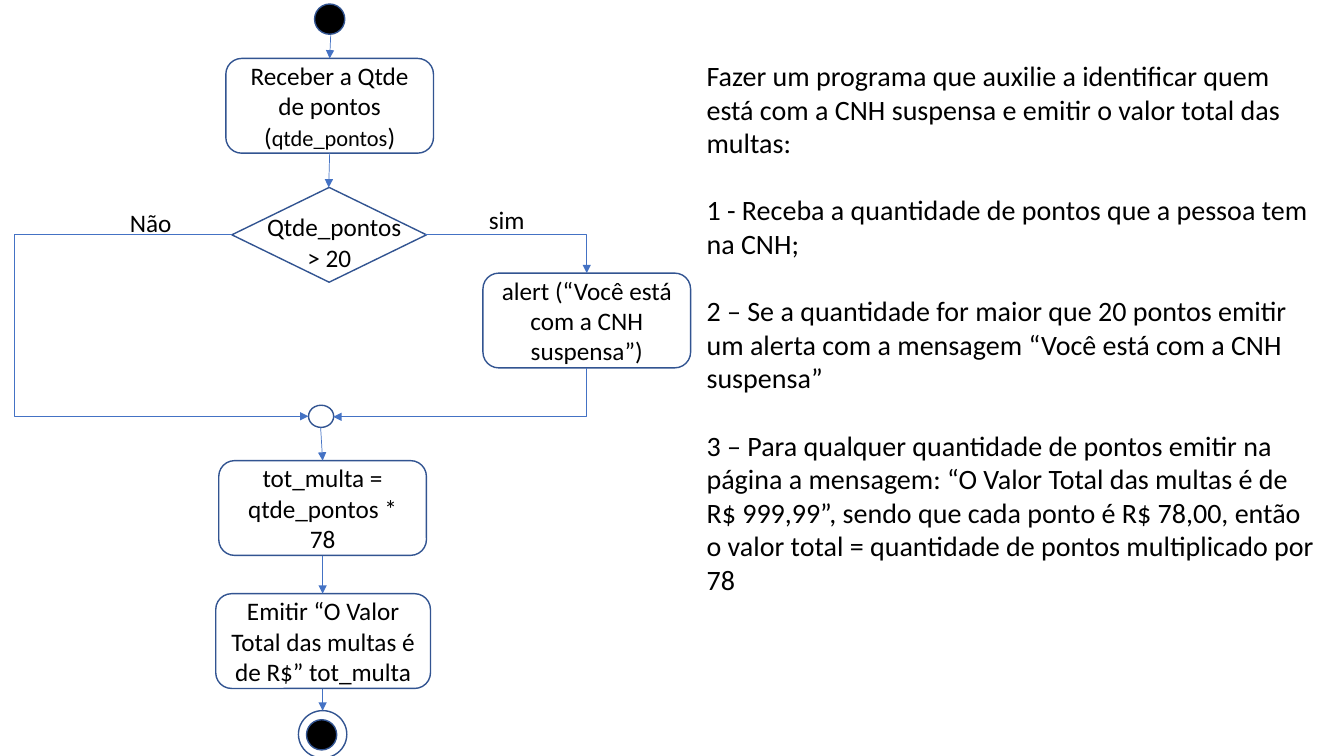
from lxml.etree import SubElement
from pptx import Presentation
from pptx.dml.color import RGBColor
from pptx.enum.shapes import MSO_CONNECTOR as Route, MSO_SHAPE as Preset
from pptx.enum.text import MSO_ANCHOR, MSO_AUTO_SIZE, PP_ALIGN
from pptx.oxml.ns import qn
from pptx.util import Inches, Pt

COLORS = {"outline": "325491", "arrow": "4472C4", "ink": "000000"}
STEP_FRAME = {"word_wrap": True, "vertical_anchor": MSO_ANCHOR.MIDDLE}
LABEL_FRAME = {"word_wrap": False, "auto_size": MSO_AUTO_SIZE.SHAPE_TO_FIT_TEXT}
BRIEF_FRAME = LABEL_FRAME | {"word_wrap": True}
CENTERED = {"alignment": PP_ALIGN.CENTER}
SPACED = {"space_after": Pt(24)}

BRIEF = [
    "Fazer um programa que auxilie a identificar quem está com a CNH suspensa "
    "e emitir o valor total das multas:",
    "1 - Receba a quantidade de pontos que a pessoa tem na CNH;",
    "2 – Se a quantidade for maior que 20 pontos emitir um alerta com a "
    "mensagem “Você está com a CNH suspensa”",
    "3 – Para qualquer quantidade de pontos emitir na página a mensagem: "
    "“O Valor Total das multas é de R$ 999,99”, sendo que cada ponto é "
    "R$ 78,00, então o valor total = quantidade de pontos multiplicado por 78",
]
STEPS = [
    (2.24, 0.58, 2.06, [("Receber a Qtde de pontos (", 18), ("qtde_pontos", 16), (")", 18)]),
    (4.79, 2.71, 2.06, [("alert (“Você está com a CNH suspensa”)", 18)]),
    (2.17, 4.57, 2.06, [("tot_multa = qtde_pontos * 78", 18)]),
    (2.14, 5.89, 2.13, [("Emitir “O Valor Total das multas é de R$” tot_multa", 18)]),
]
STRAIGHT_FLOWS = [
    ((3.28, 0.35), (3.27, 0.58)),
    ((3.27, 1.52), (3.26, 1.86)),
    ((3.18, 4.24), (3.2, 4.57)),
    ((3.2, 5.52), (3.2, 5.89)),
    ((3.2, 6.84), (3.2, 7.05)),
]


def rgb(name):
    return RGBColor.from_string(COLORS[name])


def apply(target, values):
    for name, value in values.items():
        setattr(target, name, value)


def write(frame, paragraphs, frame_values, paragraph_values):
    apply(frame, frame_values)
    for index, runs in enumerate(paragraphs):
        paragraph = frame.paragraphs[0] if index == 0 else frame.add_paragraph()
        apply(paragraph, paragraph_values)
        for words, size in runs:
            run = paragraph.add_run()
            run.text = words
            apply(run.font, {"name": "Calibri", "size": Pt(size)})
            run.font.color.rgb = rgb("ink")


def add_node(slide, preset, box, filled=False):
    node = slide.shapes.add_shape(preset, *map(Inches, box))
    node.shadow.inherit = False
    if filled:
        node.fill.solid()
        node.fill.fore_color.rgb = rgb("ink")
    else:
        node.fill.background()
    node.line.color.rgb = rgb("outline")
    node.line.width = Pt(1)
    return node


def add_step(slide, left, top, width, runs):
    step = add_node(slide, Preset.ROUNDED_RECTANGLE, (left, top, width, 0.94))
    write(step.text_frame, [runs], STEP_FRAME, CENTERED)


def add_text(slide, box, lines, size=18, frame_values=LABEL_FRAME, paragraph_values={}):
    label = slide.shapes.add_textbox(*map(Inches, box))
    write(label.text_frame, [[(line, size)] for line in lines], frame_values, paragraph_values)
    return label.text_frame


def add_flow(slide, start, end, route=Route.STRAIGHT):
    flow = slide.shapes.add_connector(route, *map(Inches, start + end))
    flow.line.color.rgb = rgb("arrow")
    flow.line.width = Pt(0.5)
    SubElement(flow.line._get_or_add_ln(), qn("a:tailEnd"), type="triangle")
    properties = flow._element.spPr
    SubElement(properties, qn("a:effectLst"))
    return properties


def add_corner_flow(slide, start, end, degrees=0):
    properties = add_flow(slide, start, end, Route.ELBOW)
    properties.find(qn("a:prstGeom")).set("prst", "bentConnector2")
    properties.find(qn("a:xfrm")).set("rot", str(degrees * 60000))


def add_detour_flow(slide, start, end, bend):
    properties = add_flow(slide, start, end, Route.ELBOW)
    guides = properties.find(qn("a:prstGeom")).find(qn("a:avLst"))
    SubElement(guides, qn("a:gd"), name="adj1", fmla=f"val {round(bend * 100000)}")


def main():
    deck = Presentation()
    apply(deck, {"slide_width": Inches(13.33), "slide_height": Inches(7.5)})
    slide = deck.slides.add_slide(deck.slide_layouts[6])

    add_node(slide, Preset.OVAL, (3.12, 0.04, 0.3, 0.3), filled=True)
    add_node(slide, Preset.DIAMOND, (2.3, 1.86, 1.93, 0.94))
    add_node(slide, Preset.OVAL, (3.06, 4.02, 0.25, 0.22))
    add_node(slide, Preset.OVAL, (3.04, 7.14, 0.3, 0.3), filled=True)
    add_node(slide, Preset.OVAL, (2.96, 7.05, 0.48, 0.47))
    for step in STEPS:
        add_step(slide, *step)

    for start, end in STRAIGHT_FLOWS:
        add_flow(slide, start, end)
    add_detour_flow(slide, (2.3, 2.33), (3.06, 4.13), bend=-2.84)
    add_corner_flow(slide, (4.22, 2.33), (5.82, 2.71))
    add_corner_flow(slide, (4.32, 2.64), (4.8, 5.15), degrees=90)

    add_text(slide, (6.91, 0.53, 6.24, 5.82), BRIEF, 20, BRIEF_FRAME, SPACED)
    condition = add_text(slide, (2.55, 2.05, 1.55, 0.71), ["Qtde_pontos", "> 20"])
    condition.paragraphs[1]._p.get_or_add_pPr().set("marL", str(Inches(0.4)))
    add_text(slide, (4.75, 1.98, 0.56, 0.4), ["sim"])
    add_text(slide, (1.19, 2.01, 0.62, 0.4), ["Não"])

    deck.save("out.pptx")


main()
